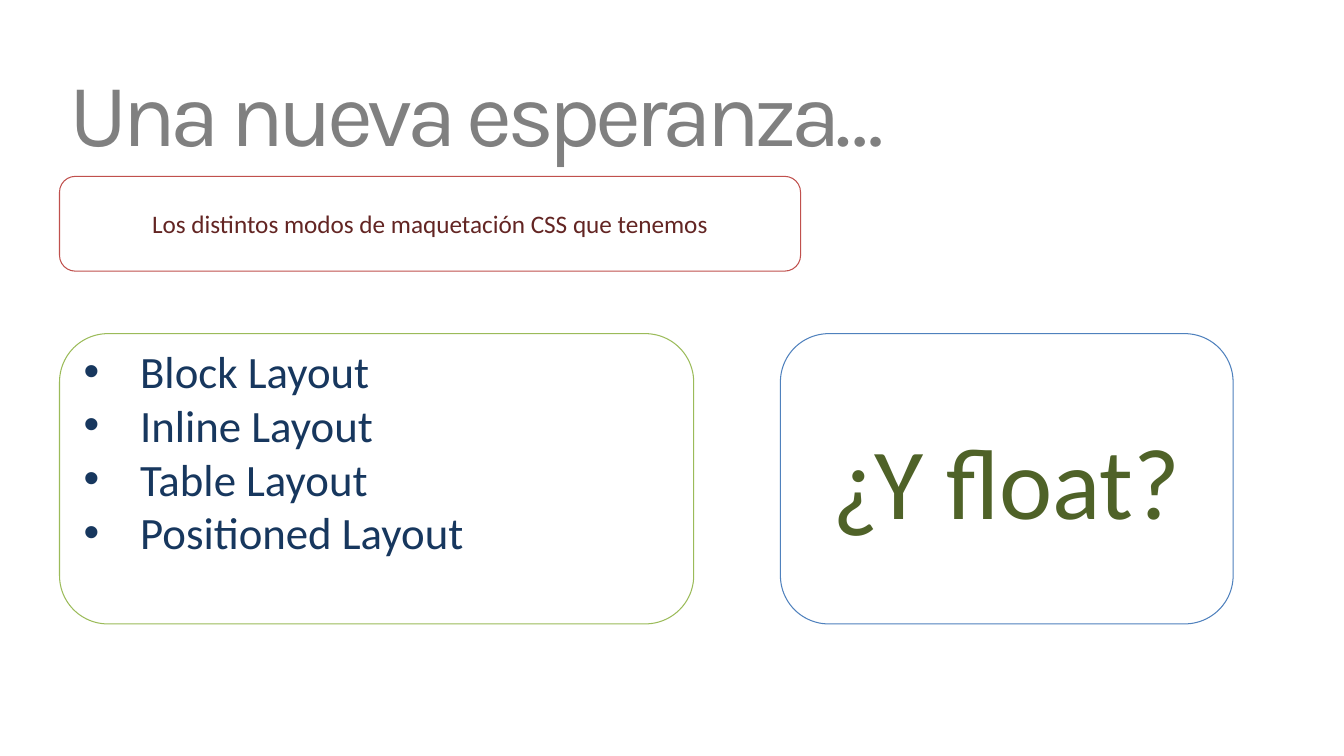
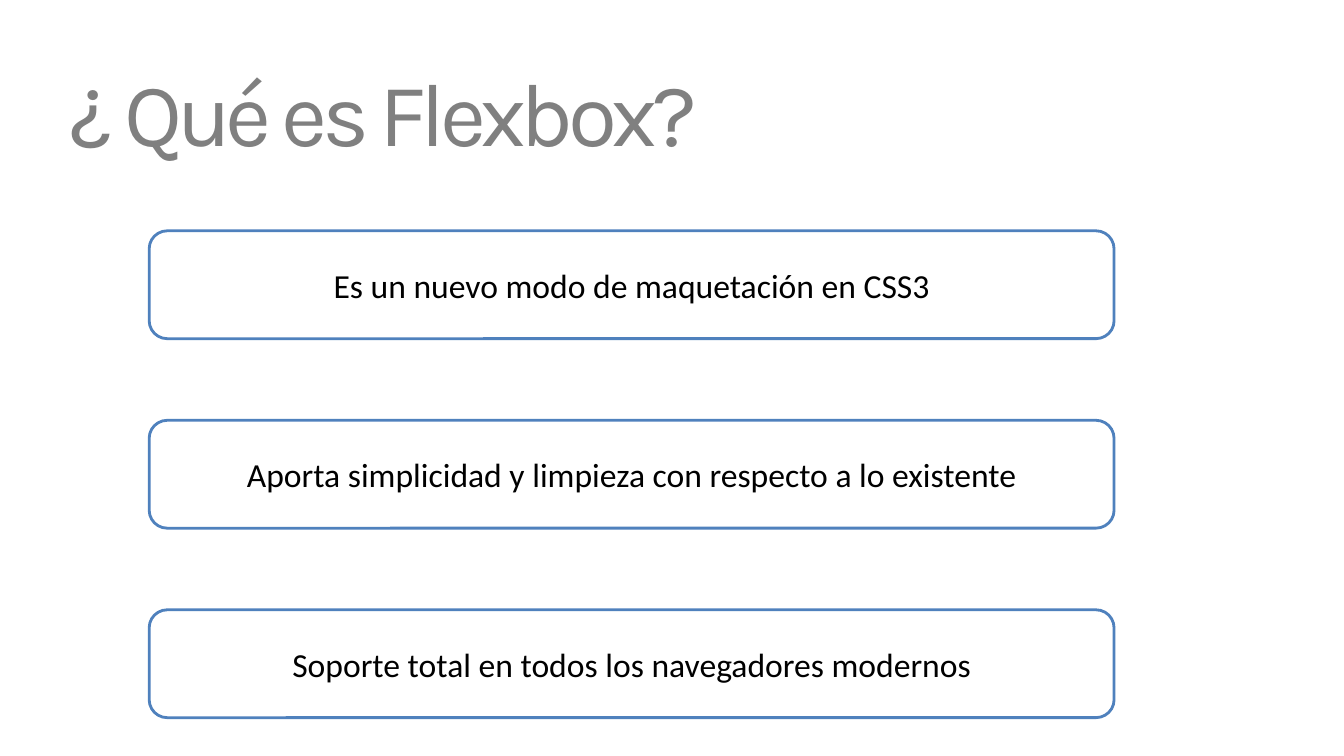
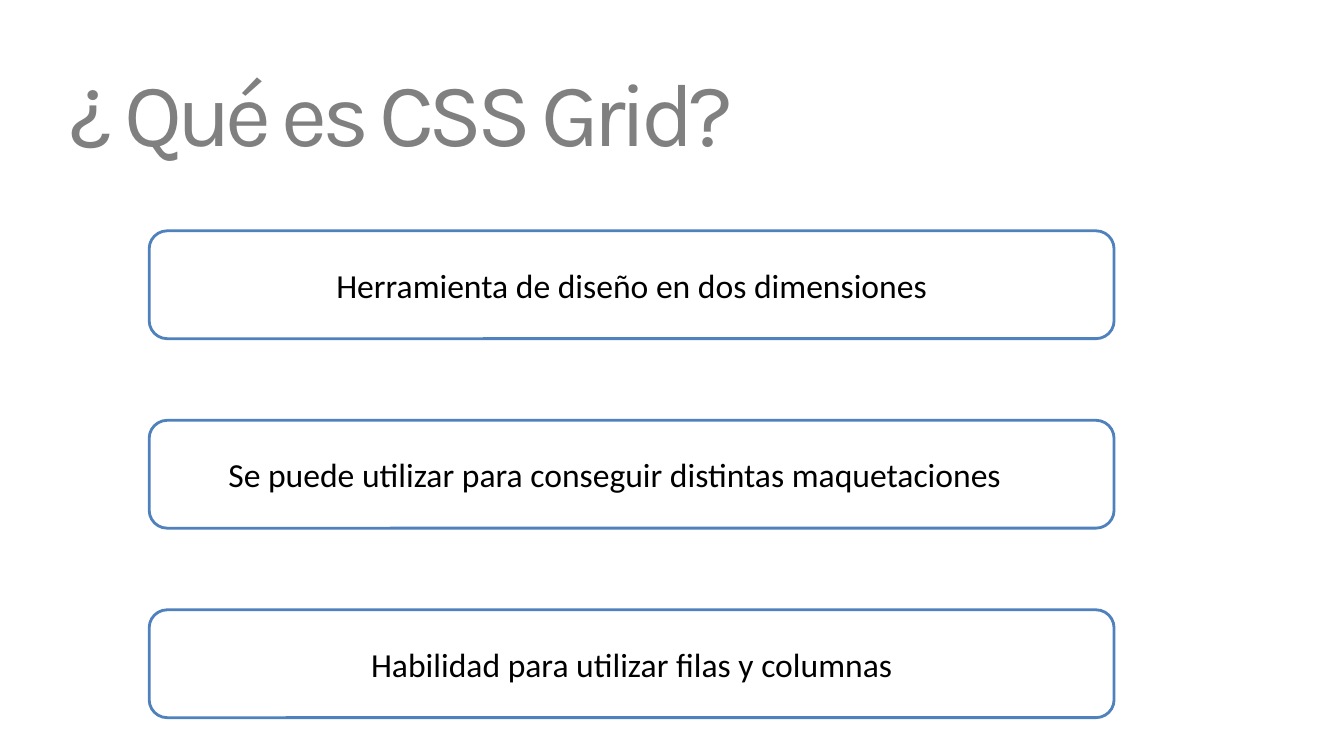
from pptx import Presentation
from pptx.dml.color import RGBColor
from pptx.enum.shapes import MSO_SHAPE
from pptx.enum.text import MSO_ANCHOR, MSO_AUTO_SIZE, PP_ALIGN
from pptx.util import Inches, Pt

ROUNDED = MSO_SHAPE.ROUNDED_RECTANGLE
MIDDLE, TOP = MSO_ANCHOR.MIDDLE, MSO_ANCHOR.TOP
LEFT, CENTER = PP_ALIGN.LEFT, PP_ALIGN.CENTER
NO_AUTOFIT = MSO_AUTO_SIZE.NONE
TITLE_AND_BODY, TITLE_ONLY = 1, 5

COLORS = {
    "title": "808080",
    "text": "000000",
    "white": "FFFFFF",
    "blue": "4F81BD",
    "navy": "17375E",
    "green": "9BBB59",
    "dark_green": "4F6228",
    "red": "C0504D",
    "dark_red": "632523",
}


def write(box, lines, size=24, color="text", font="Calibri", align=CENTER,
          anchor=MIDDLE, spacing=0, hanging=0):
    """Fill a shape or placeholder with one formatted paragraph per line."""
    frame = box.text_frame
    frame.word_wrap = True
    frame.auto_size = NO_AUTOFIT
    frame.vertical_anchor = anchor
    frame.text = "\n".join(lines)
    for para in frame.paragraphs:
        para.alignment = align
        para.space_before = Pt(0)
        if hanging:
            properties = para._p.get_or_add_pPr()
            properties.set("marL", str(Inches(hanging)))
            properties.set("indent", str(-Inches(hanging)))
        for span in para.runs:
            span.font.name = font
            span.font.size = Pt(size)
            span.font.color.rgb = RGBColor.from_string(COLORS[color])
            if spacing:
                span.font._element.set("spc", str(spacing * 100))


def add_card(page, left, top, width, height, line, weight=0.75, fill=None):
    """Add a rounded card with a coloured outline and return it."""
    card = page.shapes.add_shape(ROUNDED, Inches(left), Inches(top),
                                 Inches(width), Inches(height))
    card.shadow.inherit = False
    if fill:
        card.fill.solid()
        card.fill.fore_color.rgb = RGBColor.from_string(COLORS[fill])
    else:
        card.fill.background()
    card.line.color.rgb = RGBColor.from_string(COLORS[line])
    card.line.width = Pt(weight)
    return card


deck = Presentation()
deck.slide_width = Inches(13.33)
deck.slide_height = Inches(7.5)

# Slides and their shared title style
titles = [
    ("Una nueva esperanza…", TITLE_AND_BODY),
    ("¿ Qué es Flexbox?", TITLE_ONLY),
    ("¿ Qué es CSS Grid?", TITLE_ONLY),
]
for text, layout in titles:
    page = deck.slides.add_slide(deck.slide_layouts[layout])
    title = page.shapes.title
    title.left, title.top = Inches(0.59), Inches(0.44)
    title.width, title.height = Inches(12), Inches(1.31)
    write(title, [text], size=64, color="title", font="Karla", align=LEFT,
          spacing=-4)

hope_page, flexbox_page, grid_page = deck.slides

# Layout modes
add_card(hope_page, 0.59, 3.31, 6.29, 2.88, "green")
modes = hope_page.placeholders[1]
modes.left, modes.top = Inches(0.59), Inches(3.31)
modes.width, modes.height = Inches(6.29), Inches(2.88)
modes.text_frame.margin_left = Inches(0.24)
modes.text_frame.margin_top = Inches(0.1)
write(modes, ["Block Layout", "Inline Layout", "Table Layout",
              "Positioned Layout"],
      size=32, color="navy", align=LEFT, anchor=TOP, hanging=0.56)

subtitle = add_card(hope_page, 0.59, 1.75, 7.35, 0.94, "red")
write(subtitle, ["Los distintos modos de maquetación CSS que tenemos"],
      size=18, color="dark_red")

question = add_card(hope_page, 7.74, 3.31, 4.49, 2.88, "blue")
write(question, ["¿Y float?"], size=72, color="dark_green")

# Definitions, three evenly spaced cards a slide
definitions = [
    (flexbox_page, ["Es un nuevo modo de maquetación en CSS3",
                    "Aporta simplicidad y limpieza con respecto a lo existente",
                    "Soporte total en todos los navegadores modernos"]),
    (grid_page, ["Herramienta de diseño en dos dimensiones",
                 "Se puede utilizar para conseguir distintas maquetaciones\t",
                 "Habilidad para utilizar filas y columnas"]),
]
for page, statements in definitions:
    for row, statement in enumerate(statements):
        card = add_card(page, 1.48, 2.29 + 1.88 * row, 9.57, 1.07, "blue",
                        weight=2, fill="white")
        write(card, [statement])

deck.save("out.pptx")
